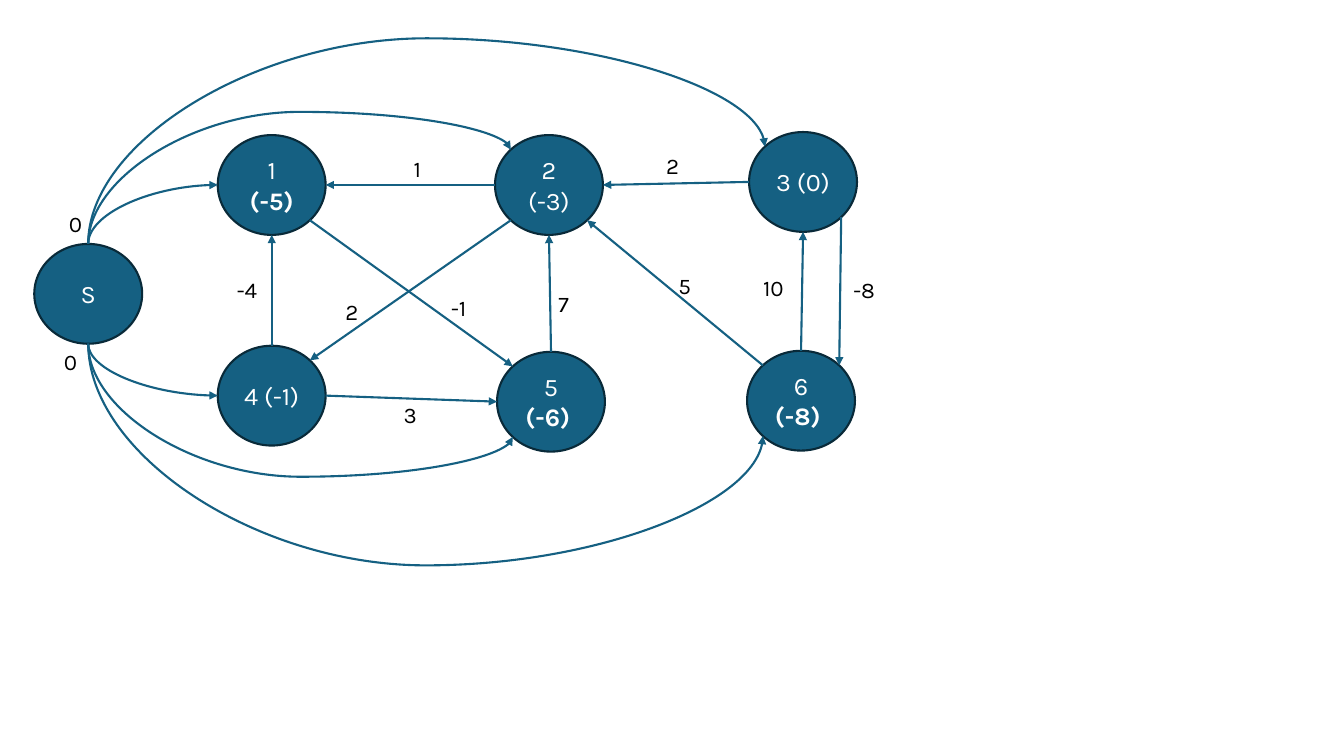
from math import cos, radians, sin

from lxml.etree import SubElement
from pptx import Presentation
from pptx.dml.color import RGBColor
from pptx.enum.shapes import MSO_CONNECTOR, MSO_SHAPE
from pptx.enum.text import MSO_ANCHOR, MSO_AUTO_SIZE, PP_ALIGN
from pptx.oxml.ns import qn
from pptx.util import Inches, Pt

OVAL = MSO_SHAPE.OVAL
STRAIGHT, CURVE = MSO_CONNECTOR.STRAIGHT, MSO_CONNECTOR.CURVE
MIDDLE, CENTER = MSO_ANCHOR.MIDDLE, PP_ALIGN.CENTER
GROW = MSO_AUTO_SIZE.SHAPE_TO_FIT_TEXT

COLORS = {"node": "156082", "outline": "092A39", "white": "FFFFFF", "black": "000000"}
FONT = "Karla"
NODE_WIDTH, NODE_HEIGHT = 1.07, 0.99
LABEL_HEIGHT = 0.37
LINE_WIDTH = 1.5

NODES = {
    "1": (2.16, 1.34, [("1 ", False), ("(-5)", True)]),
    "2": (4.91, 1.34, [("2 (-3)", False)]),
    "3": (7.43, 1.31, [("3 (0)", False)]),
    "4": (2.16, 3.43, [("4 (-1)", False)]),
    "5": (4.93, 3.49, [("5 ", False), ("(-6) ", True)]),
    "S": (0.34, 2.42, [("S", False)]),
    "6": (7.41, 3.48, [("6 ", False), ("(-8) ", True)]),
}

SITES = ["top", "top left", "left", "bottom left",
         "bottom", "bottom right", "right", "top right"]

STRAIGHT_EDGES = [
    ("4", "top", "1", "bottom"),
    ("1", "bottom right", "5", "top left"),
    ("2", "bottom left", "4", "top right"),
    ("4", "right", "5", "left"),
    ("2", "left", "1", "right"),
    ("5", "top", "2", "bottom"),
    ("3", "left", "2", "right"),
    ("6", "top left", "2", "bottom right"),
    ("6", "top", "3", "bottom"),
    ("3", "bottom right", "6", "top right"),
]

SOURCE_EDGES = [
    ("top", "1", "left", None),
    ("top", "2", "top left", 1.11),
    ("bottom", "4", "left", None),
    ("bottom", "5", "bottom left", 4.73),
    ("bottom", "6", "bottom left", 5.61),
    ("top", "3", "top left", 0.38),
]

LABELS = [
    ("1", 3.95, 1.49, 0.38),
    ("-4", 2.23, 2.69, 0.44),
    ("-1", 4.33, 2.87, 0.44),
    ("2", 3.27, 2.91, 0.44),
    ("3", 3.85, 3.93, 0.44),
    ("7", 5.37, 2.83, 0.44),
    ("5", 6.57, 2.65, 0.44),
    ("2", 6.45, 1.46, 0.44),
    ("10", 7.41, 2.67, 0.52),
    ("-8", 8.35, 2.69, 0.44),
    ("0", 0.53, 2.04, 0.44),
    ("0", 0.48, 3.4, 0.44),
]


def color(name):
    return RGBColor.from_string(COLORS[name])


def write(shape, runs, size, color_name, frame_format):
    for name, value in frame_format.items():
        setattr(shape.text_frame, name, value)
    paragraph = shape.text_frame.paragraphs[0]
    paragraph.alignment = CENTER
    for text, bold in runs:
        run = paragraph.add_run()
        run.text = text
        run_format = {"name": FONT, "size": Pt(size), "bold": bold}
        for name, value in run_format.items():
            setattr(run.font, name, value)
        run.font.color.rgb = color(color_name)


def add_node(slide, left, top, runs):
    shape = slide.shapes.add_shape(
        OVAL, Inches(left), Inches(top), Inches(NODE_WIDTH), Inches(NODE_HEIGHT))
    shape.shadow.inherit = False
    shape.fill.solid()
    shape.fill.fore_color.rgb = color("node")
    shape.line.color.rgb = color("outline")
    shape.line.width = Pt(LINE_WIDTH)
    write(shape, runs, 18, "white", {"word_wrap": True, "vertical_anchor": MIDDLE})
    return shape


def site_point(node, site):
    left, top, _ = NODES[node]
    angle = radians(45 * SITES.index(site))
    return (left + NODE_WIDTH / 2 * (1 - sin(angle)),
            top + NODE_HEIGHT / 2 * (1 - cos(angle)))


def add_edge(slide, shapes, kind, start, start_site, end, end_site):
    points = site_point(start, start_site) + site_point(end, end_site)
    connector = slide.shapes.add_connector(kind, *[Inches(value) for value in points])
    connector.line.color.rgb = color("node")
    connector.line.width = Pt(LINE_WIDTH)
    properties = connector._element.spPr
    SubElement(properties.find(qn("a:ln")), qn("a:tailEnd"), type="triangle")
    SubElement(properties, qn("a:effectLst"))
    joints = connector._element.find(".//" + qn("p:cNvCxnSpPr"))
    for tag, node, site in (("a:stCxn", start, start_site), ("a:endCxn", end, end_site)):
        SubElement(joints, qn(tag), id=str(shapes[node].shape_id), idx=str(SITES.index(site)))
    return connector


def bend(connector, start, end, peak):
    across, down = end[0] - start[0], end[1] - start[1]
    width, height = abs(down), across
    placement = {
        "left": Inches((start[0] + end[0] - width) / 2),
        "top": Inches((start[1] + end[1] - height) / 2),
        "width": Inches(width),
        "height": Inches(height),
    }
    for name, value in placement.items():
        setattr(connector, name, value)
    upward = down < 0
    transform = connector._element.spPr.find(qn("a:xfrm"))
    transform.set("rot", str((90 if upward else 270) * 60000))
    transform.set("flipH", "1")
    transform.set("flipV", "1" if upward else "0")
    geometry = connector._element.spPr.find(qn("a:prstGeom"))
    if peak is None:
        geometry.set("prst", "curvedConnector2")
    else:
        ratio = round((peak - start[1]) / down * 100000)
        SubElement(geometry.find(qn("a:avLst")), qn("a:gd"), name="adj1", fmla=f"val {ratio}")


def main():
    presentation = Presentation()
    presentation.slide_width = Inches(13.33)
    presentation.slide_height = Inches(7.5)
    slide = presentation.slides.add_slide(presentation.slide_layouts[6])

    shapes = {name: add_node(slide, *node) for name, node in NODES.items()}
    for edge in STRAIGHT_EDGES:
        add_edge(slide, shapes, STRAIGHT, *edge)
    for start_site, end, end_site, peak in SOURCE_EDGES:
        connector = add_edge(slide, shapes, CURVE, "S", start_site, end, end_site)
        bend(connector, site_point("S", start_site), site_point(end, end_site), peak)
    for text, left, top, width in LABELS:
        label = slide.shapes.add_textbox(
            Inches(left), Inches(top), Inches(width), Inches(LABEL_HEIGHT))
        write(label, [(text, False)], 16, "black", {"word_wrap": True, "auto_size": GROW})

    presentation.save("out.pptx")


if __name__ == "__main__":
    main()
